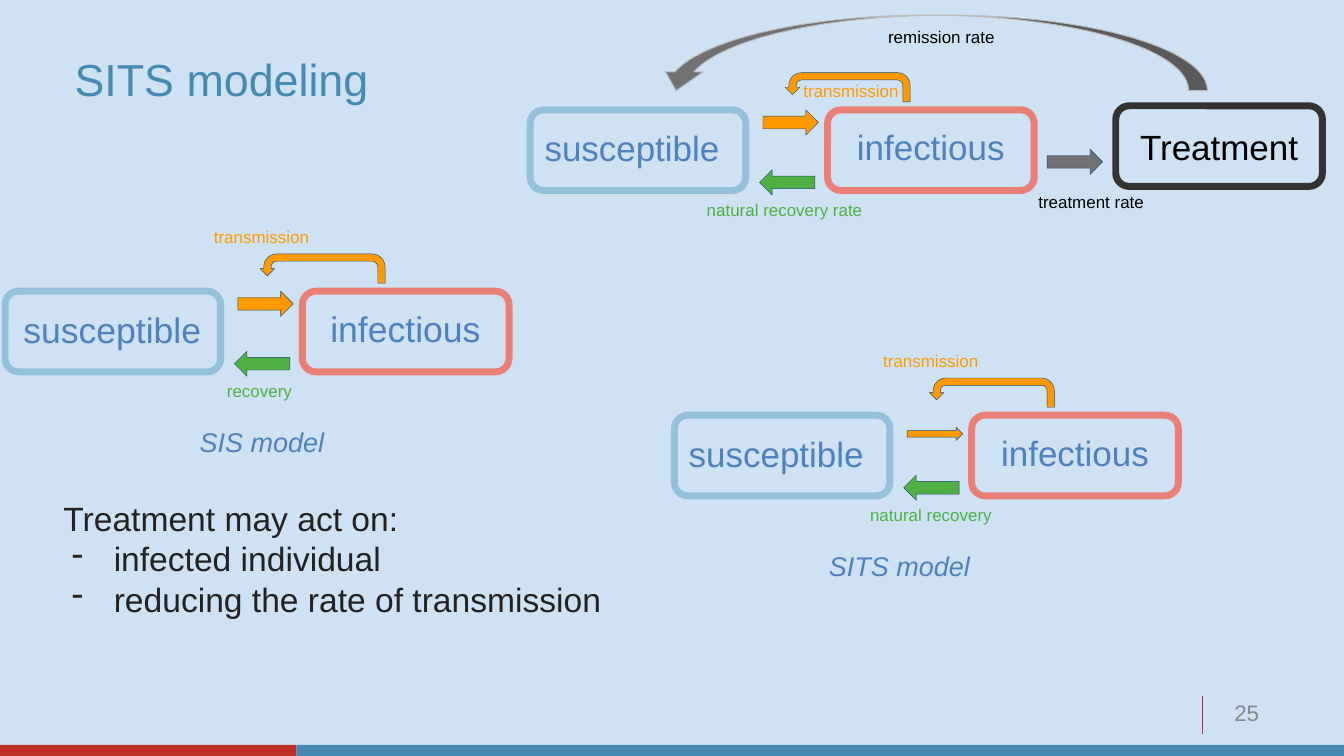
from dataclasses import dataclass

from lxml.etree import SubElement as Sub
from pptx import Presentation
from pptx.dml.color import RGBColor as Rgb
from pptx.enum.shapes import MSO_CONNECTOR as Conn, MSO_SHAPE as Geo
from pptx.enum.text import MSO_ANCHOR as Anchor, PP_ALIGN as Align
from pptx.oxml.ns import qn
from pptx.util import Pt


@dataclass(frozen=True)
class Theme:
    font: str = "Arial"
    back: str = "CFE2F3"
    red: str = "BF3227"
    teal: str = "468AB2"
    sky: str = "95C0DA"
    coral: str = "E97F77"
    blue: str = "4F81BD"
    navy: str = "1F497D"
    green: str = "4FB043"
    orange: str = "FF9900"
    gray: str = "717073"
    pale: str = "BABCBE"
    mute: str = "888888"
    dark: str = "333333"
    ink: str = "222222"
    black: str = "000000"
    title: float = 32
    state: float = 25
    body: float = 24
    model: float = 19.3
    page: float = 16
    rate: float = 12.1


T = Theme()
STATE_H = 57.6
ARROW = 39.6, 18


def apply(obj, vals):
    for key, val in vals.items():
        setattr(obj, key, val)


def style(par, size, color, italic=None):
    apply(par.font, {"name": T.font, "size": Pt(size), "italic": italic})
    par.font.color.rgb = Rgb.from_string(color)


def frame(shape, pad, anchor=Anchor.TOP):
    left, top, right, low = pad
    text = shape.text_frame
    apply(text, {
        "word_wrap": True, "vertical_anchor": anchor,
        "margin_left": Pt(left), "margin_top": Pt(top),
        "margin_right": Pt(right), "margin_bottom": Pt(low),
    })
    return text


def label(page, box, text, size, color, align=Align.LEFT, italic=None,
          pad=(3, 3, 3, 3), anchor=Anchor.TOP, space=None):
    body = frame(page.shapes.add_textbox(*map(Pt, box)), pad, anchor)
    par = body.paragraphs[0]
    apply(par, {"text": text, "alignment": align, "line_spacing": space})
    style(par, size, color, italic)


def shape(page, kind, box, fill=None, line=None, width=0.31):
    item = page.shapes.add_shape(kind, *map(Pt, box))
    item.shadow.inherit = False
    if fill:
        item.fill.solid()
        item.fill.fore_color.rgb = Rgb.from_string(fill)
    else:
        item.fill.background()
    if line:
        item.line.color.rgb = Rgb.from_string(line)
        item.line.width = Pt(width)
    else:
        item.line.fill.background()
    return item


def state(page, box, line):
    return shape(page, Geo.ROUNDED_RECTANGLE, box, line=line, width=4.97)


# Two states, the arrows between them and their labels
def model(page, x, y, back, spread=(146.2, -49), name=None, shift=0,
          size=T.state, thick=18, nudge=0):
    state(page, (x, y, 154, STATE_H), T.sky)
    state(page, (x + 212.4, y, 147.6, STATE_H), T.coral)
    for dx, dy, text in ((7.6 - nudge, 9, "susceptible"),
                         (217, 8.3, "infectious")):
        label(page, (x + dx, y + dy, 138.2, 36), text, size, T.blue,
              Align.CENTER)

    shape(page, Geo.LEFT_ARROW, (x + 163.8, y + 42.8, *ARROW),
          T.green, T.navy)
    shape(page, Geo.RIGHT_ARROW,
          (x + 166.3, y + 9 - thick / 2 + (4.3 if thick < 18 else 0),
           ARROW[0], thick), T.orange, T.navy)

    text, dx, width = back
    label(page, (x + dx, y + 61, width, 21), text, T.rate, T.green)
    dx, dy = spread
    label(page, (x + dx, y + dy, 79.2, 21), "transmission", T.rate, T.orange)
    turn = shape(page, Geo.U_TURN_ARROW, (x + 182.2, y - 26.6, 89.3, 20.9),
                 T.orange, T.navy)
    turn._element.spPr.find(qn("a:xfrm")).set("flipH", "1")
    if name:
        label(page, (x + shift, y + 92.9, 129, 29.5), name, T.model, T.blue,
              italic=True)


# Treatment state with its rates, to the right of the full model
def treat(page, x, y):
    shape(page, Geo.RIGHT_ARROW, (x - 49, y + 31, *ARROW), T.gray, T.navy)
    box = state(page, (x, y, 147.6, STATE_H), T.dark)
    par = frame(box, (3, 3, 3, 3), Anchor.MIDDLE).paragraphs[0]
    apply(par, {"text": "Treatment", "alignment": Align.CENTER})
    style(par, T.state, T.black)
    bow = shape(page, Geo.CURVED_UP_ARROW, (x - 327.6, y - 64.8, 393.1, 54),
                T.gray, T.pale, 0.75)
    bow.rotation = 180
    for dx, dy, width, text in ((-165.6, -59.8, 90.7, "remission rate"),
                                (-58.3, 58.3, 105.1, "treatment rate")):
        label(page, (x + dx, y + dy, width, 21), text, T.rate, T.black)


# Lead line and dashed list
def notes(page, box, lead, items):
    body = frame(page.shapes.add_textbox(*map(Pt, box)), (7.2,) * 4)
    body.text = "\n".join((lead, *items))
    for i, par in enumerate(body.paragraphs):
        if i:
            props = par._p.get_or_add_pPr()
            props.set("marL", str(Pt(36)))
            props.set("indent", str(Pt(-30)))
            tint = Sub(props, qn("a:buClr"))
            Sub(tint, qn("a:srgbClr"), val=T.ink)
            Sub(props, qn("a:buChar"), char="-")
        style(par, T.body, T.ink)


# Bottom bars, page rule and page number
def foot(page, wide, high):
    split, bar = 211.7, 7.9
    for x, width, color in ((0, split, T.red),
                            (split, wide - split, T.teal)):
        shape(page, Geo.RECTANGLE, (x, high - bar, width, bar), color)
    x = wide - 101
    rule = page.shapes.add_connector(
        Conn.STRAIGHT, Pt(x), Pt(high - 43.2), Pt(x), Pt(high - 15.8))
    rule.line.color.rgb = Rgb.from_string(T.red)
    rule.line.width = Pt(0.75)
    Sub(rule._element.spPr, qn("a:effectLst"))
    label(page, (x + 4.3, high - 44.6, 43.2, 28.8), "25", T.page, T.mute,
          Align.RIGHT, pad=(7.2, 3.6, 7.2, 3.6), anchor=Anchor.MIDDLE,
          space=0.93)


def main():
    deck = Presentation()
    wide, high = 960, 540
    apply(deck, {"slide_width": Pt(wide), "slide_height": Pt(high)})
    page = deck.slides.add_slide(deck.slide_layouts[6])
    page.background.fill.solid()
    page.background.fill.fore_color.rgb = Rgb.from_string(T.back)

    foot(page, wide, high)
    model(page, 3.6, 208, ("recovery", 155.5, 60.5), name="SIS model",
          shift=136, size=25.4)
    model(page, 481.7, 296.6, ("natural recovery", 136.8, 99.4),
          name="SITS model", shift=107.3, thick=9.4, nudge=4)
    label(page, (53.3, 28.8, 258.5, 59.8), "SITS modeling", T.title, T.teal,
          pad=(0, 3.6, 7.2, 3.6), anchor=Anchor.MIDDLE, space=0.9)
    model(page, 378.7, 78.5, ("natural recovery rate", 123.1, 154),
          spread=(192.2, -23.8), nudge=4)
    treat(page, 797, 75.6)
    notes(page, (38.2, 348.5, 401, 121.7), "Treatment may act on:",
          ("infected individual", "reducing the rate of transmission"))
    deck.save("out.pptx")


if __name__ == "__main__":
    main()
